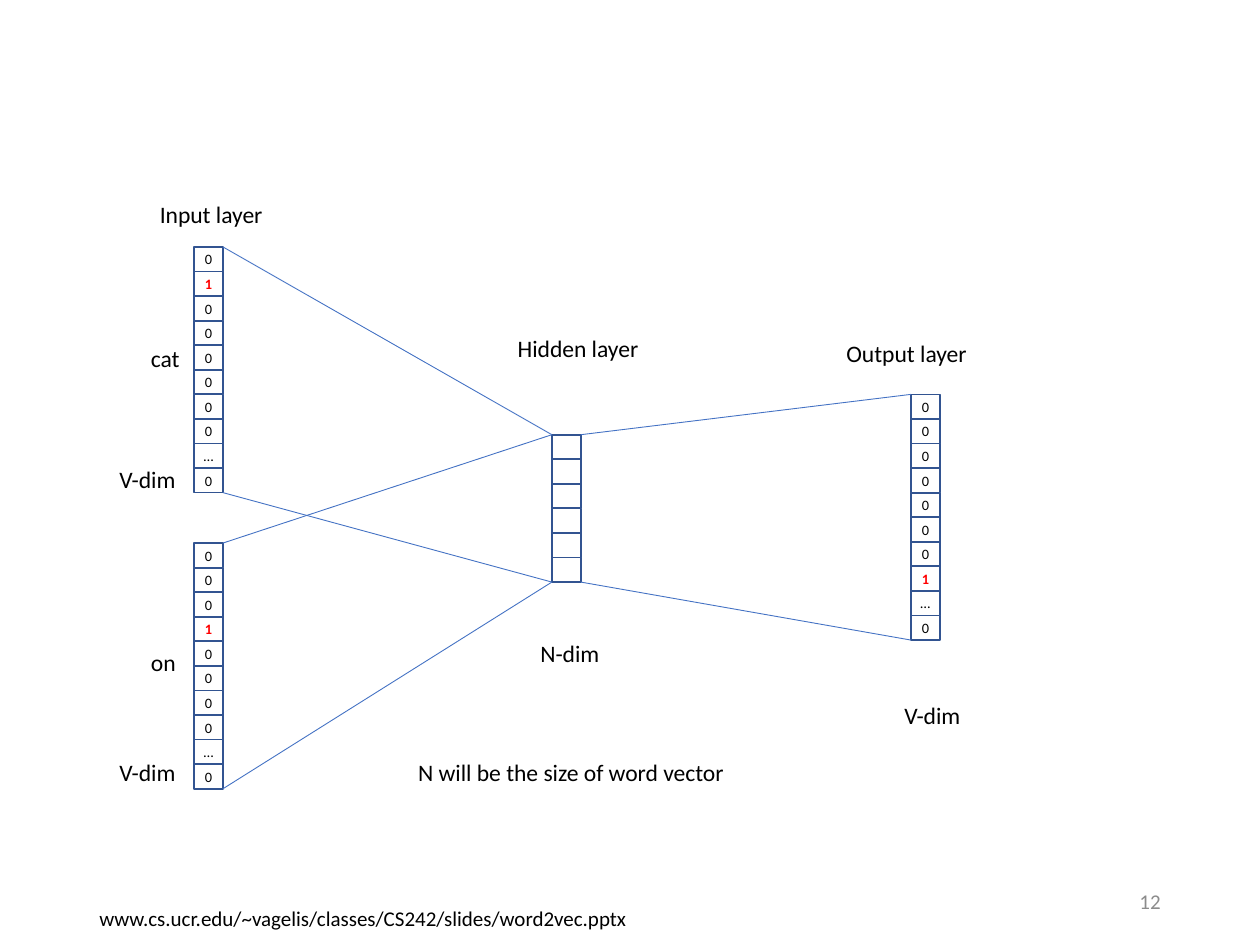
"""Build the slide showing a word2vec network with two context words."""
from lxml.etree import SubElement
from pptx import Presentation
from pptx.dml.color import RGBColor
from pptx.enum.shapes import MSO_CONNECTOR, MSO_SHAPE
from pptx.enum.text import MSO_ANCHOR, MSO_AUTO_SIZE, PP_ALIGN
from pptx.oxml.ns import qn
from pptx.util import Inches, Pt

BLACK = RGBColor(0x00, 0x00, 0x00)
RED = RGBColor(0xFF, 0x00, 0x00)
GRAY = RGBColor(0x8C, 0x8C, 0x8C)
CELL_EDGE = RGBColor(0x32, 0x54, 0x91)
LINK_BLUE = RGBColor(0x44, 0x72, 0xC4)

CELL_WIDTH = 0.23
CELL_HEIGHT = 1.95 / 10

VECTORS = {
    "cat": (1.54, 1.96, list("01000000…0")),
    "on": (1.54, 4.31, list("00010000…0")),
    "hidden": (4.38, 3.45, [""] * 6),
    "output": (7.23, 3.13, list("00000001…0")),
}
LINKS = [("cat", "hidden"), ("on", "hidden"), ("hidden", "output")]
LABELS = [
    ("cat", 1.1, 2.68, 0.43),
    ("on", 1.1, 5.09, 0.4),
    ("Input layer", 1.17, 1.54, 1.03),
    ("Hidden layer", 4.01, 2.6, 1.18),
    ("Output layer", 6.62, 2.64, 1.17),
    ("V-dim", 0.85, 3.64, 0.66),
    ("V-dim", 0.85, 5.97, 0.66),
    ("N-dim", 4.19, 5.02, 0.68),
    ("V-dim", 7.08, 5.51, 0.66),
    ("N will be the size of word vector", 3.22, 5.97, 2.66),
]
SOURCE = "www.cs.ucr.edu/~vagelis/classes/CS242/slides/word2vec.pptx"
PAGE_NUMBER = "12"

CELL_FRAME = {
    "margin_left": 0, "margin_top": 0, "margin_right": 0, "margin_bottom": 0,
    "vertical_anchor": MSO_ANCHOR.MIDDLE, "word_wrap": False,
}
LABEL_FRAME = {"word_wrap": False, "auto_size": MSO_AUTO_SIZE.SHAPE_TO_FIT_TEXT}
PAGE_FRAME = {"word_wrap": True, "vertical_anchor": MSO_ANCHOR.MIDDLE}


def write(frame, text, frame_format, size, color=BLACK, bold=False, align=PP_ALIGN.LEFT):
    for attribute, value in frame_format.items():
        setattr(frame, attribute, value)
    paragraph = frame.paragraphs[0]
    paragraph.alignment = align
    run = paragraph.add_run()
    run.text = text
    for attribute, value in {"name": "Calibri", "size": Pt(size), "bold": bold}.items():
        setattr(run.font, attribute, value)
    run.font.color.rgb = color


def add_label(slide, text, left, top, width, height=0.33, size=13.5,
              frame_format=LABEL_FRAME, **style):
    box = slide.shapes.add_textbox(*map(Inches, (left, top, width, height)))
    write(box.text_frame, text, frame_format, size, **style)


def add_vector(slide, left, top, values):
    vector = slide.shapes.add_group_shape()
    for index, value in enumerate(values):
        place = (left, top + index * CELL_HEIGHT, CELL_WIDTH, CELL_HEIGHT)
        cell = vector.shapes.add_shape(MSO_SHAPE.RECTANGLE, *map(Inches, place))
        cell.shadow.inherit = False
        cell.fill.background()
        cell.line.color.rgb = CELL_EDGE
        cell.line.width = Pt(1)
        if value:
            hot = value == "1"
            write(cell.text_frame, value, CELL_FRAME, 8.2,
                  RED if hot else BLACK, hot, PP_ALIGN.CENTER)


def add_links(slide, start, end):
    start_left, start_top, start_values = VECTORS[start]
    end_left, end_top, end_values = VECTORS[end]
    for share in (0, 1):
        ends = (
            start_left + CELL_WIDTH,
            start_top + share * len(start_values) * CELL_HEIGHT,
            end_left,
            end_top + share * len(end_values) * CELL_HEIGHT,
        )
        link = slide.shapes.add_connector(MSO_CONNECTOR.STRAIGHT, *map(Inches, ends))
        link.line.color.rgb = LINK_BLUE
        link.line.width = Pt(0.5)
        SubElement(link._element.spPr, qn("a:effectLst"))


def main():
    deck = Presentation()
    deck.slide_width, deck.slide_height = Inches(10), Inches(7.5)
    slide = deck.slides.add_slide(deck.slide_layouts[6])
    for vector in VECTORS.values():
        add_vector(slide, *vector)
    for start, end in LINKS:
        add_links(slide, start, end)
    for label in LABELS:
        add_label(slide, *label)
    add_label(slide, SOURCE, 0.69, 7.14, 4.44, 0.3, 12)
    add_label(slide, PAGE_NUMBER, 7.06, 6.95, 2.25, 0.4, 12, PAGE_FRAME,
              color=GRAY, align=PP_ALIGN.RIGHT)
    deck.save("out.pptx")


if __name__ == "__main__":
    main()
